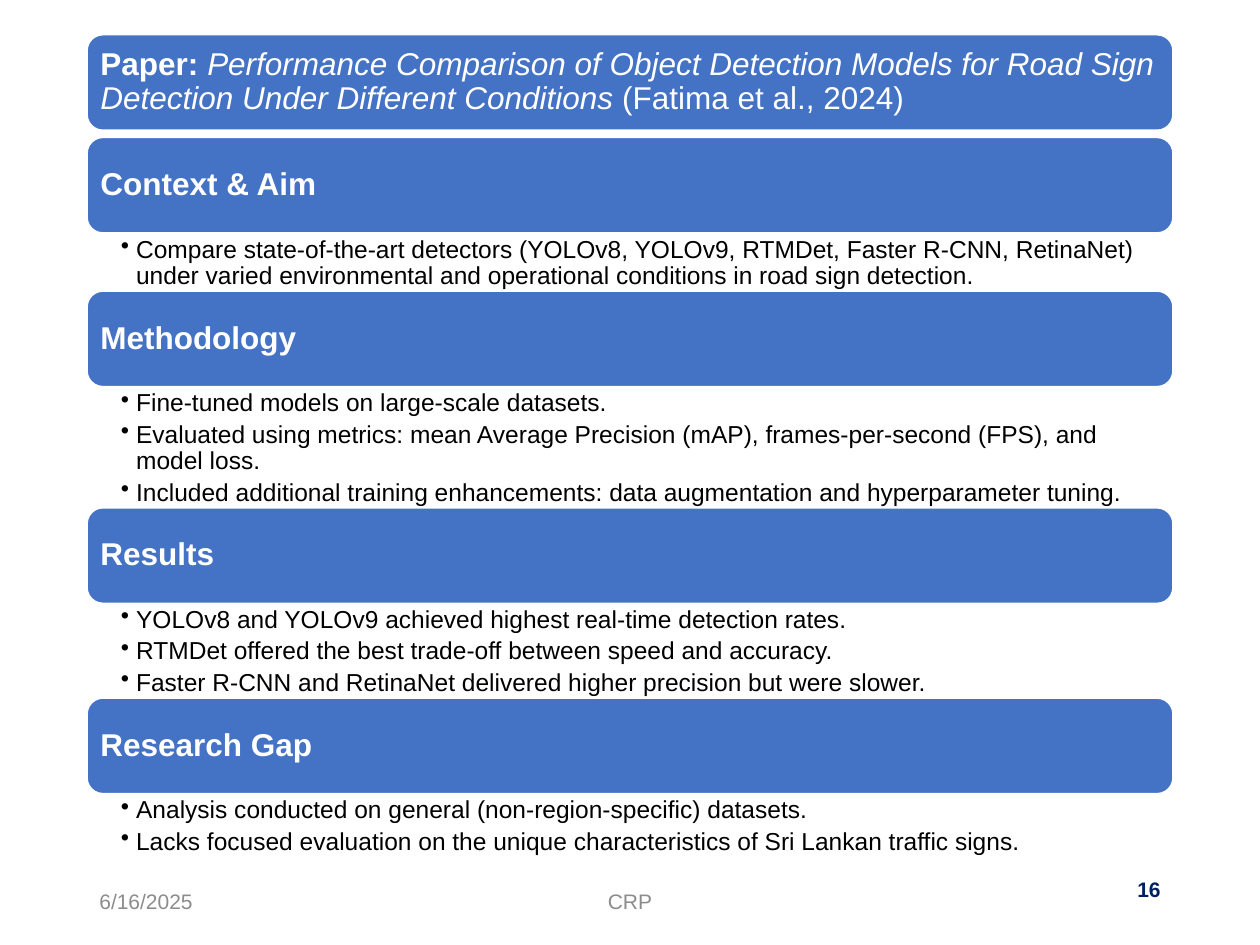
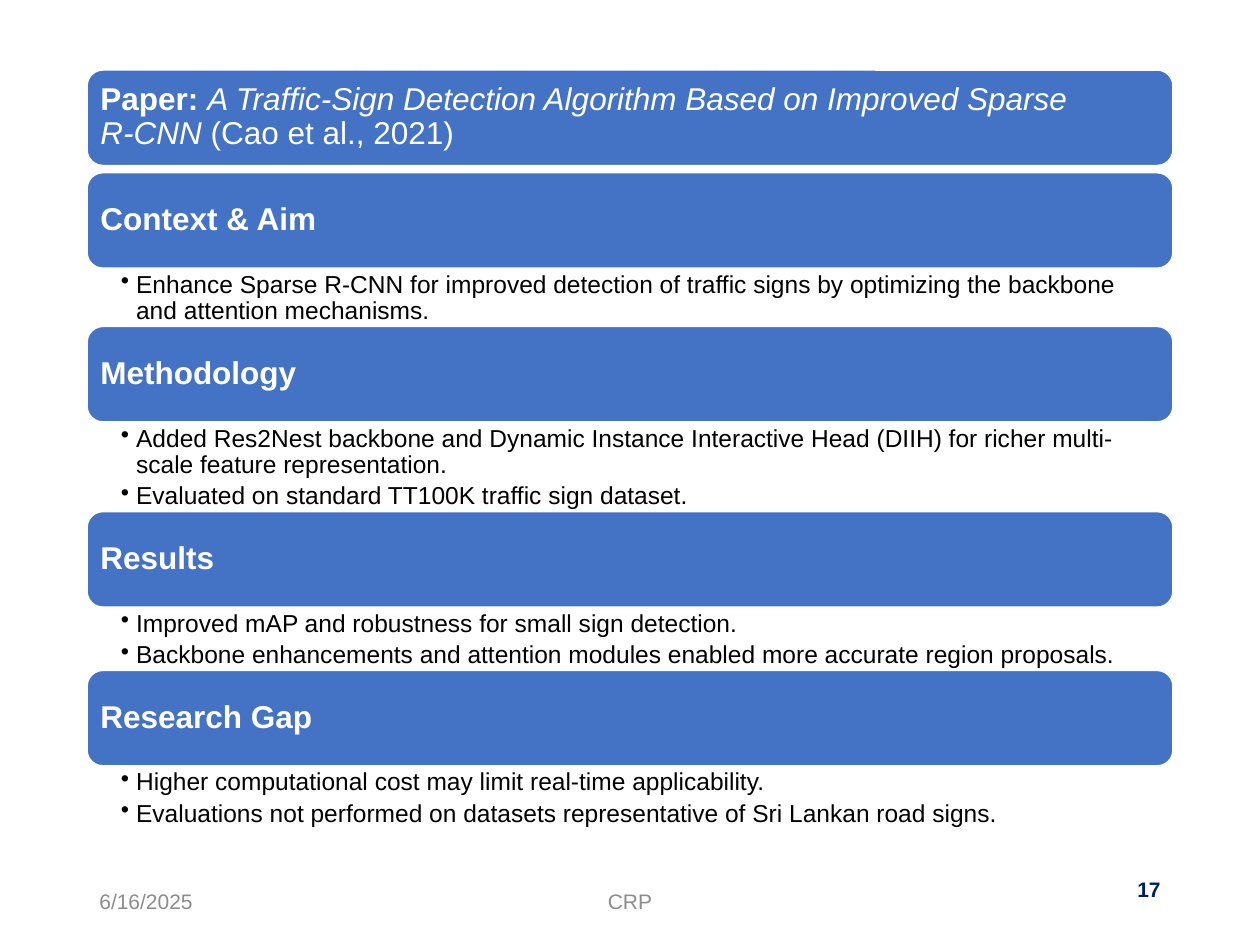
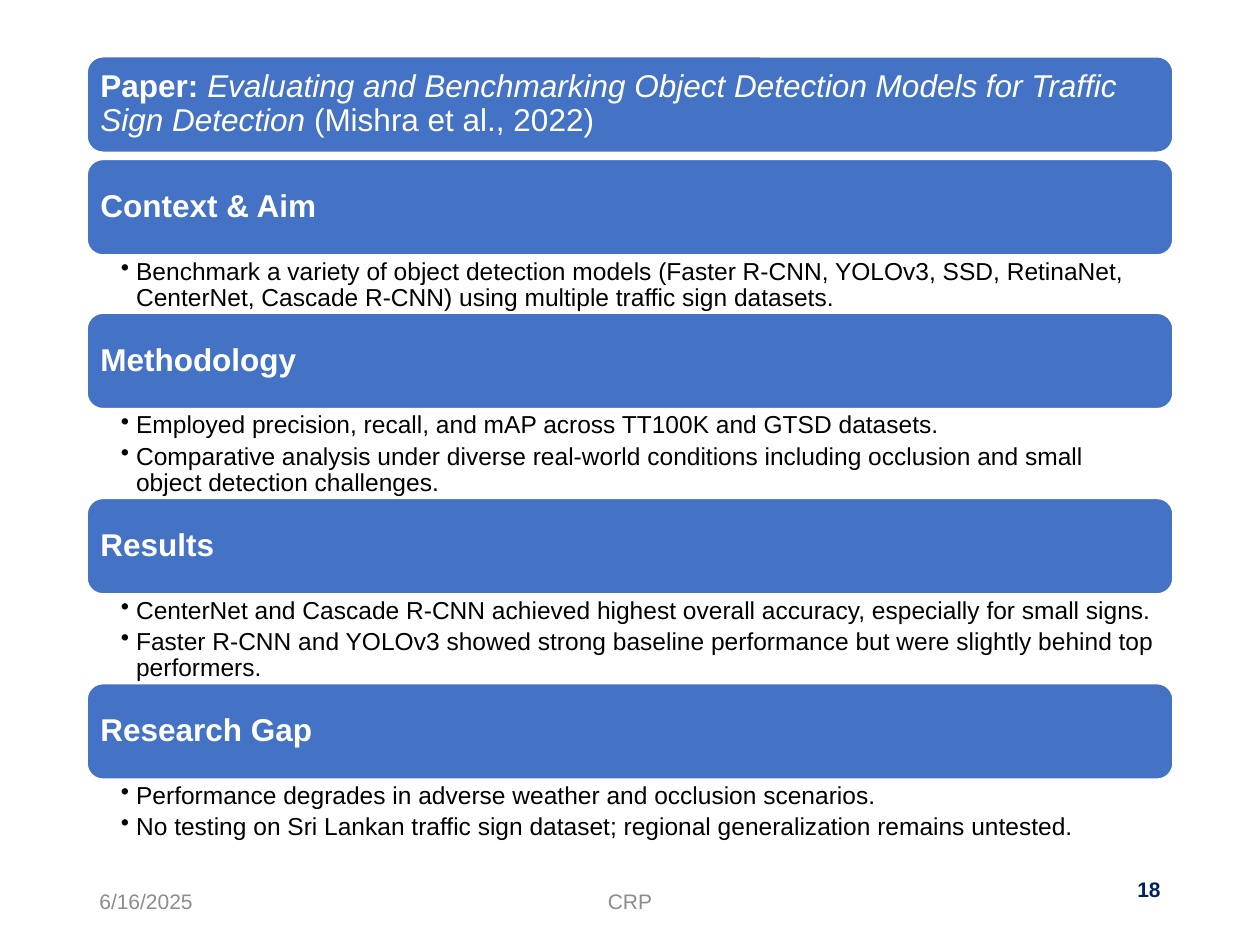
from collections import namedtuple
from math import ceil

from lxml.etree import SubElement
from pptx import Presentation
from pptx.dml.color import RGBColor
from pptx.enum.shapes import MSO_SHAPE
from pptx.enum.text import MSO_ANCHOR, PP_ALIGN
from pptx.oxml.ns import qn
from pptx.util import Inches, Pt

BLUE = RGBColor(0x44, 0x72, 0xC4)
WHITE = RGBColor(0xFF, 0xFF, 0xFF)
BLACK = RGBColor(0x00, 0x00, 0x00)
GREY = RGBColor(0x8C, 0x8C, 0x8C)
NAVY = RGBColor(0x00, 0x20, 0x60)
FONT = "Arial"

SLIDE_WIDTH = Inches(10)
SLIDE_HEIGHT = Inches(7.5)
COLUMN = SLIDE_WIDTH / 100
ROW = SLIDE_HEIGHT / 75

CONTENT_LEFT = 6.9
CONTENT_WIDTH = 86.2
BANNER_ROWS = 7.6
BANNER_GAP = 0.55
LINE_ROWS = 2.1
BULLET_GAP = 0.4
CHARACTERS_PER_LINE = 92
BULLET_INDENT = Inches(0.12)

DATE = "6/16/2025"
FOOTER = "CRP"
FIRST_NUMBER = 16
HEADINGS = ("Context & Aim", "Methodology", "Results", "Research Gap")

Box = namedtuple("Box", "left top width height")
Paper = namedtuple("Paper", "top title citation sections")

PAPERS = [
    Paper(
        2.75,
        "Performance Comparison of Object Detection Models for Road Sign Detection Under Different Conditions",
        "(Fatima et al., 2024)",
        [
            ["Compare state-of-the-art detectors (YOLOv8, YOLOv9, RTMDet, Faster R‑CNN, RetinaNet) "
             "under varied environmental and operational conditions in road sign detection."],
            ["Fine-tuned models on large-scale datasets.",
             "Evaluated using metrics: mean Average Precision (mAP), frames-per-second (FPS), and model loss.",
             "Included additional training enhancements: data augmentation and hyperparameter tuning."],
            ["YOLOv8 and YOLOv9 achieved highest real-time detection rates.",
             "RTMDet offered the best trade-off between speed and accuracy.",
             "Faster R‑CNN and RetinaNet delivered higher precision but were slower."],
            ["Analysis conducted on general (non-region-specific) datasets.",
             "Lacks focused evaluation on the unique characteristics of Sri Lankan traffic signs."],
        ],
    ),
    Paper(
        5.55,
        "A Traffic‑Sign Detection Algorithm Based on Improved Sparse R‑CNN",
        "(Cao et al., 2021)",
        [
            ["Enhance Sparse R‑CNN for improved detection of traffic signs by optimizing the backbone "
             "and attention mechanisms."],
            ["Added Res2Nest backbone and Dynamic Instance Interactive Head (DIIH) for richer "
             "multi-scale feature representation.",
             "Evaluated on standard TT100K traffic sign dataset."],
            ["Improved mAP and robustness for small sign detection.",
             "Backbone enhancements and attention modules enabled more accurate region proposals."],
            ["Higher computational cost may limit real-time applicability.",
             "Evaluations not performed on datasets representative of Sri Lankan road signs."],
        ],
    ),
    Paper(
        4.5,
        "Evaluating and Benchmarking Object Detection Models for Traffic Sign Detection",
        "(Mishra et al., 2022)",
        [
            ["Benchmark a variety of object detection models (Faster R‑CNN, YOLOv3, SSD, RetinaNet, "
             "CenterNet, Cascade R‑CNN) using multiple traffic sign datasets."],
            ["Employed precision, recall, and mAP across TT100K and GTSD datasets.",
             "Comparative analysis under diverse real-world conditions including occlusion and small "
             "object detection challenges."],
            ["CenterNet and Cascade R‑CNN achieved highest overall accuracy, especially for small signs.",
             "Faster R‑CNN and YOLOv3 showed strong baseline performance but were slightly behind top "
             "performers."],
            ["Performance degrades in adverse weather and occlusion scenarios.",
             "No testing on Sri Lankan traffic sign dataset; regional generalization remains untested."],
        ],
    ),
]


def to_lengths(box):
    return (round(box.left * COLUMN), round(box.top * ROW),
            round(box.width * COLUMN), round(box.height * ROW))


def add_run(paragraph, text, size=18, color=WHITE, bold=False, italic=False):
    run = paragraph.add_run()
    run.text = text
    font = run.font
    font.name = FONT
    font.size = Pt(size)
    font.color.rgb = color
    font.bold = bold
    font.italic = italic


def format_frame(frame, anchor, left=0.1, top=0.05, right=0.1, bottom=0.05):
    frame.word_wrap = True
    frame.vertical_anchor = anchor
    frame.margin_left, frame.margin_top = Inches(left), Inches(top)
    frame.margin_right, frame.margin_bottom = Inches(right), Inches(bottom)


def add_label(slide, box, text, align, **style):
    frame = slide.shapes.add_textbox(*to_lengths(box)).text_frame
    format_frame(frame, MSO_ANCHOR.MIDDLE)
    paragraph = frame.paragraphs[0]
    paragraph.alignment = align
    add_run(paragraph, text, size=12, **style)


def add_footer(slide, number):
    add_label(slide, Box(6.9, 69.5, 22.5, 4), DATE, PP_ALIGN.LEFT, color=GREY)
    add_label(slide, Box(33.1, 69.5, 33.8, 4), FOOTER, PP_ALIGN.CENTER, color=GREY)
    add_label(slide, Box(70.6, 67.6, 22.5, 6), str(number), PP_ALIGN.RIGHT, color=NAVY, bold=True)


def add_banner(slide, box, heading, title="", citation=""):
    shape = slide.shapes.add_shape(MSO_SHAPE.ROUNDED_RECTANGLE, *to_lengths(box))
    shape.shadow.inherit = False
    shape.fill.solid()
    shape.fill.fore_color.rgb = BLUE
    shape.line.color.rgb = WHITE
    shape.line.width = Pt(1)
    format_frame(shape.text_frame, MSO_ANCHOR.MIDDLE, 0.07, 0.07, 0.07, 0.07)
    paragraph = shape.text_frame.paragraphs[0]
    paragraph.alignment = PP_ALIGN.LEFT
    paragraph.line_spacing = 0.9
    add_run(paragraph, heading, bold=True)
    if title:
        add_run(paragraph, title, italic=True)
        add_run(paragraph, f" {citation}")


def add_bullets(slide, box, bullets):
    frame = slide.shapes.add_textbox(*to_lengths(box)).text_frame
    format_frame(frame, MSO_ANCHOR.TOP, 0.27, 0.03, 0.14, 0.03)
    for index, text in enumerate(bullets):
        paragraph = frame.add_paragraph() if index else frame.paragraphs[0]
        paragraph.level = 1
        properties = paragraph._p.get_or_add_pPr()
        properties.set("marL", str(BULLET_INDENT))
        properties.set("indent", str(-BULLET_INDENT))
        SubElement(properties, qn("a:buChar")).set("char", "•")
        paragraph.line_spacing = 0.9
        paragraph.space_after = Pt(2.8)
        add_run(paragraph, text, size=14, color=BLACK)


def bullet_rows(bullets):
    lines = sum(ceil(len(text) / CHARACTERS_PER_LINE) for text in bullets)
    return lines * LINE_ROWS + len(bullets) * BULLET_GAP


def add_paper_slide(presentation, paper, number):
    slide = presentation.slides.add_slide(presentation.slide_layouts[6])
    add_footer(slide, number)
    banner = Box(CONTENT_LEFT, paper.top, CONTENT_WIDTH, BANNER_ROWS)
    add_banner(slide, banner, "Paper: ", paper.title, paper.citation)
    top = paper.top + BANNER_ROWS + BANNER_GAP
    for heading, bullets in zip(HEADINGS, paper.sections):
        add_banner(slide, banner._replace(top=top), heading)
        top += BANNER_ROWS
        height = bullet_rows(bullets)
        add_bullets(slide, banner._replace(top=top, height=height), bullets)
        top += height


def main():
    presentation = Presentation()
    presentation.slide_width = SLIDE_WIDTH
    presentation.slide_height = SLIDE_HEIGHT
    for number, paper in enumerate(PAPERS, FIRST_NUMBER):
        add_paper_slide(presentation, paper, number)
    presentation.save("out.pptx")


if __name__ == "__main__":
    main()
